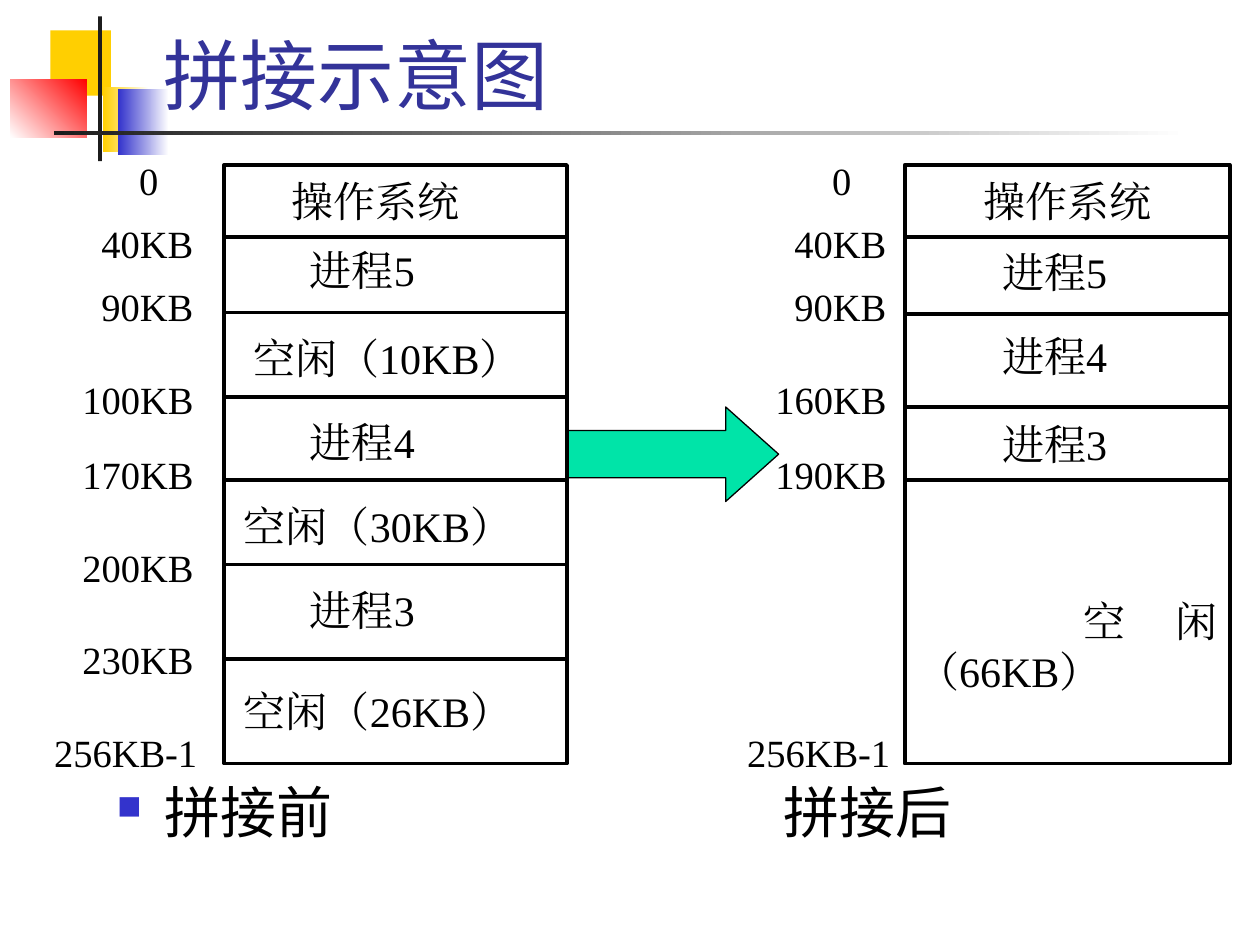
import dataclasses
import typing

import lxml.etree
import pptx
import pptx.dml.color
import pptx.enum.shapes
import pptx.enum.text
import pptx.oxml.ns
import pptx.slide
import pptx.util

Inches = pptx.util.Inches
Pt = pptx.util.Pt
Shapes = pptx.enum.shapes.MSO_SHAPE
Align = pptx.enum.text.PP_ALIGN
Anchor = pptx.enum.text.MSO_ANCHOR


@dataclasses.dataclass(frozen=True)
class Theme:
    gold: str = "FFCF01"
    blue: str = "3333CC"
    red: str = "FF0000"
    dark: str = "1C1C1C"
    white: str = "FFFFFF"
    black: str = "000000"
    navy: str = "333399"
    green: str = "00E4A8"
    head: str = "Karla"
    serif: str = "Times New Roman"
    title: int = 44
    body: int = 32
    cell: int = 24
    mark: int = 22
    lead: float = 1.2
    step: float = 0.075
    rule: float = 2.25


THEME = Theme()


class Row(typing.NamedTuple):
    text: str
    shift: float
    gap: float = 0


class Block(typing.NamedTuple):
    box: tuple[float, float, float, float]
    fill: str
    fade: str | None = None
    angle: int = 180


class Stack(typing.NamedTuple):
    left: float
    width: float
    pad: float
    mark_left: float
    cuts: list[float]
    cells: list[Row]
    marks: list[Row]


BLOCKS = [
    Block((0.4, 0.24, 0.48, 0.52), THEME.gold),
    Block((0.82, 0.69, 0.36, 0.52), THEME.white, THEME.gold),
    Block((0.94, 0.71, 0.4, 0.52), THEME.white, THEME.blue),
    Block((0.08, 0.63, 0.61, 0.46), THEME.red, THEME.white, 225),
    Block((0.78, 0.13, 0.03, 1.15), THEME.dark),
    Block((0.43, 1.04, 9, 0.03), THEME.white, THEME.dark),
]

BEFORE = Stack(
    1.78, 2.72, 0.08, 0.43, [1.88, 2.48, 3.15, 3.81, 4.48, 5.23],
    [Row("操作系统", 6), Row("进程5", 8, 9), Row("空闲（10KB）", 2, 18),
     Row("进程4", 8, 16), Row("空闲（30KB）", 1, 16), Row("进程3", 8, 16),
     Row("空闲（26KB）", 1, 24)],
    [Row("0", 9), Row("40KB", 5, 8), Row("90KB", 5, 8), Row("100KB", 3, 22),
     Row("170KB", 3, 14), Row("200KB", 3, 22), Row("230KB", 3, 22),
     Row("256KB-1", 0, 22)],
)
AFTER = Stack(
    7.18, 2.58, 0.1, 5.93, [1.88, 2.49, 3.23, 3.81],
    [Row("操作系统", 7), Row("进程5", 9, 10), Row("进程4", 9, 16),
     Row("进程3", 9, 18), Row("空闲（66KB）", 17.6, 60)],
    [Row("0", 9), Row("40KB", 5, 8), Row("90KB", 5, 8), Row("160KB", 3, 22),
     Row("190KB", 3, 14), Row("256KB-1", 0, 110)],
)


def tint(hue: str) -> pptx.dml.color.RGBColor:
    return pptx.dml.color.RGBColor.from_string(hue)


def add_node(host, tag: str, **attrs: str):
    return lxml.etree.SubElement(host, pptx.oxml.ns.qn(tag), attrs)


def add_form(slide: pptx.slide.Slide, kind, box: tuple, fill: str, edge: float = 0):
    shape = slide.shapes.add_shape(kind, *map(Inches, box))
    shape.shadow.inherit = False
    shape.fill.solid()
    shape.fill.fore_color.rgb = tint(fill)
    if edge:
        shape.line.color.rgb = tint(THEME.black)
        shape.line.width = Pt(edge)
    else:
        shape.line.fill.background()
    return shape


def add_block(slide: pptx.slide.Slide, block: Block) -> None:
    shape = add_form(slide, Shapes.RECTANGLE, block.box, block.fill)
    if block.fade:
        shape.fill.gradient()
        shape.fill.gradient_angle = block.angle
        for stop, hue in zip(shape.fill.gradient_stops, (block.fill, block.fade)):
            stop.color.rgb = tint(hue)


def add_bullet(para) -> None:
    props = para._p.get_or_add_pPr()
    props.set("marL", str(Inches(0.38)))
    props.set("indent", str(-Inches(0.38)))
    add_node(add_node(props, "a:buClr"), "a:srgbClr", val=THEME.blue)
    add_node(props, "a:buSzPct", val="60000")
    add_node(props, "a:buChar", char="■")


def write(shape, rows: list[Row], *, size: float, font: str, color: str = THEME.black,
          inset: tuple = (0.1, 0.05, 0.1, 0.05), anchor=Anchor.TOP,
          align=Align.LEFT, lead=None, bullet: bool = False) -> None:
    frame = shape.text_frame
    frame.word_wrap = True
    frame.vertical_anchor = anchor
    (frame.margin_left, frame.margin_top,
     frame.margin_right, frame.margin_bottom) = map(Inches, inset)
    for index, row in enumerate(rows):
        para = frame.add_paragraph() if index else frame.paragraphs[0]
        para.alignment = align
        if lead:
            para.line_spacing = lead
        if row.gap:
            para.space_before = Pt(row.gap * THEME.lead)
        if row.shift:
            para._p.get_or_add_pPr().set("indent", str(Inches(row.shift * THEME.step)))
        if bullet:
            add_bullet(para)
        run = para.add_run()
        run.text = row.text
        run.font.size = Pt(size)
        run.font.name = font
        run.font.color.rgb = tint(color)
        add_node(run._r.get_or_add_rPr(), "a:ea", typeface=font)


def add_text(slide: pptx.slide.Slide, box: tuple, rows: list[Row], **style) -> None:
    write(slide.shapes.add_textbox(*map(Inches, box)), rows, **style)


def add_rule(slide: pptx.slide.Slide, left: float, right: float, top: float) -> None:
    line = slide.shapes.add_connector(
        pptx.enum.shapes.MSO_CONNECTOR.STRAIGHT,
        Inches(left), Inches(top), Inches(right), Inches(top))
    line.line.color.rgb = tint(THEME.black)
    line.line.width = Pt(THEME.rule)
    add_node(line._element.spPr, "a:effectLst")


def add_stack(slide: pptx.slide.Slide, stack: Stack) -> None:
    frame = add_form(slide, Shapes.RECTANGLE, (stack.left, 1.31, stack.width, 4.75),
                     THEME.white, THEME.rule)
    write(frame, stack.cells, size=THEME.cell, font=THEME.serif, align=Align.JUSTIFY,
          inset=(stack.pad, 0.08, stack.pad, 0), lead=Pt(THEME.cell * THEME.lead))
    for cut in stack.cuts:
        add_rule(slide, stack.left, stack.left + stack.width, cut)
    add_text(slide, (stack.mark_left, 1.23, 1.17, 5), stack.marks, size=THEME.mark,
             font=THEME.serif, align=Align.JUSTIFY, inset=(0, 0.02, 0, 0),
             lead=Pt(THEME.mark * THEME.lead))


def main() -> None:
    deck = pptx.Presentation()
    deck.slide_width, deck.slide_height = Inches(10), Inches(7.5)
    slide = deck.slides.add_slide(deck.slide_layouts[6])
    for block in BLOCKS:
        add_block(slide, block)
    add_text(slide, (1.2, 0.17, 8.52, 0.83), [Row("拼接示意图", 0)], size=THEME.title,
             font=THEME.head, color=THEME.navy, anchor=Anchor.BOTTOM)
    add_text(slide, (0.83, 6.18, 4.5, 0.58), [Row("拼接前", 0)], size=THEME.body,
             font=THEME.head, lead=0.9, bullet=True)
    add_text(slide, (6.12, 6.18, 3.2, 0.58), [Row("拼接后", 0)], size=THEME.body,
             font=THEME.head, lead=0.9)
    arrow = add_form(slide, Shapes.RIGHT_ARROW, (4.51, 3.23, 1.67, 0.75),
                     THEME.green, 0.75)
    arrow.adjustments[1] = 0.56
    for stack in (BEFORE, AFTER):
        add_stack(slide, stack)
    deck.save("out.pptx")


if __name__ == "__main__":
    main()
